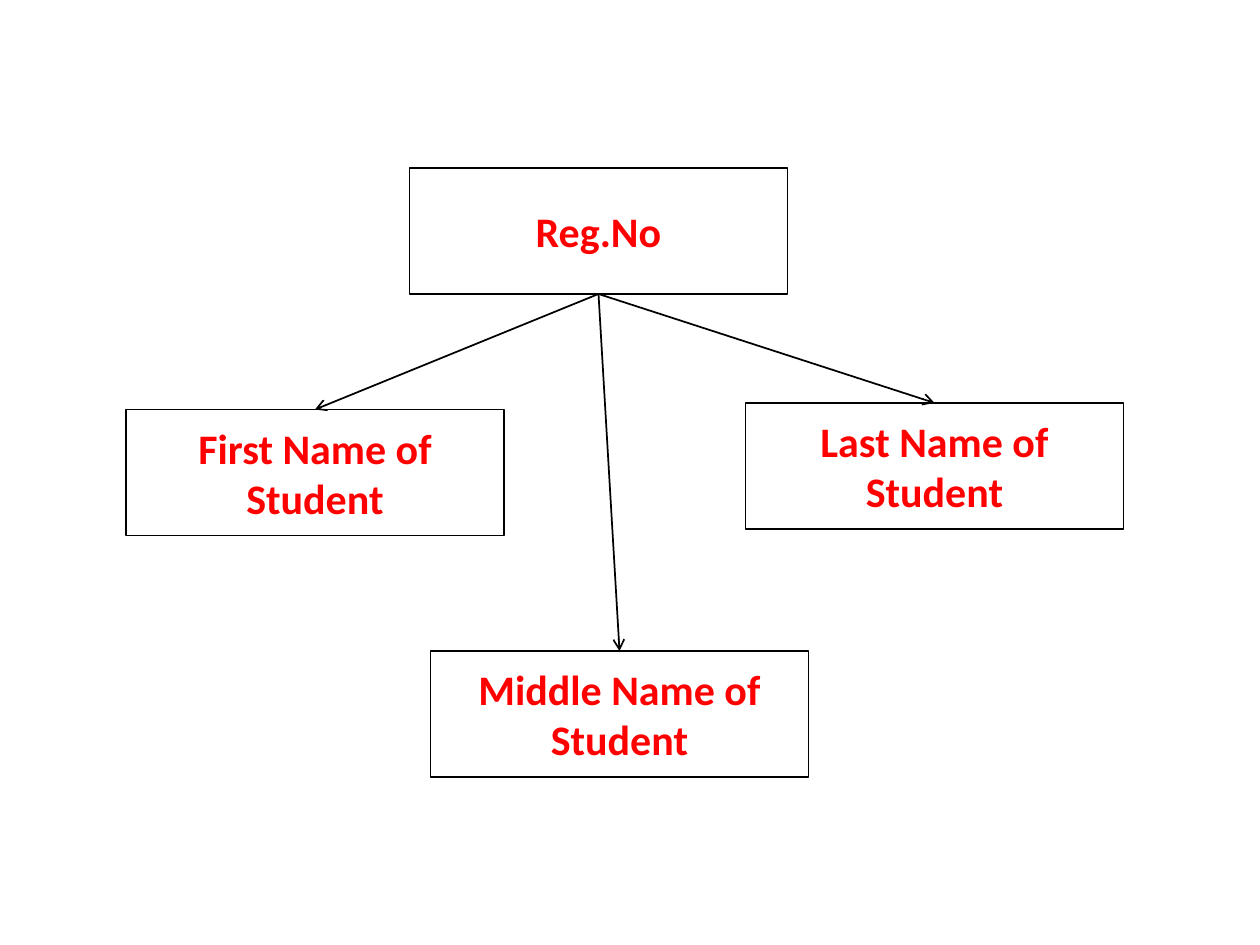
from dataclasses import dataclass

from lxml import etree
from pptx import Presentation
from pptx.dml.color import RGBColor
from pptx.enum.shapes import MSO_CONNECTOR, MSO_SHAPE
from pptx.enum.text import MSO_ANCHOR, PP_ALIGN
from pptx.oxml.ns import qn
from pptx.shapes.autoshape import Shape
from pptx.shapes.shapetree import SlideShapes
from pptx.util import Pt

RECT = MSO_SHAPE.RECTANGLE
STRAIGHT = MSO_CONNECTOR.STRAIGHT
CENTER = PP_ALIGN.CENTER
MIDDLE = MSO_ANCHOR.MIDDLE
TOP, BOTTOM = 0, 2

SCALE = 9525
BOX_W, BOX_H = 288, 96


@dataclass
class Field:
    text: str
    left: int
    top: int


ROOT = Field("Reg.No", 312, 128)
PARTS = [
    Field("First Name of Student", 96, 312),
    Field("Last Name of Student", 568, 307),
    Field("Middle Name of Student", 328, 496),
]


def px(size: int) -> int:
    return size * SCALE


def color(code: str) -> RGBColor:
    return RGBColor.from_string(code)


def draw_box(shapes: SlideShapes, field: Field) -> Shape:
    box = shapes.add_shape(RECT, px(field.left), px(field.top), px(BOX_W), px(BOX_H))
    box.shadow.inherit = False
    box.fill.solid()
    box.fill.fore_color.rgb = color("FFFFFF")
    box.line.color.rgb = color("000000")
    box.line.width = Pt(1)
    frame = box.text_frame
    frame.word_wrap = True
    frame.vertical_anchor = MIDDLE
    para = frame.paragraphs[0]
    para.alignment = CENTER
    run = para.add_run()
    run.text = field.text
    run.font.name = "Calibri"
    run.font.size = Pt(24)
    run.font.bold = True
    run.font.color.rgb = color("FF0000")
    return box


def draw_arrow(shapes: SlideShapes, start: Shape, end: Shape) -> None:
    arrow = shapes.add_connector(STRAIGHT, 0, 0, 0, 0)
    arrow.begin_connect(start, BOTTOM)
    arrow.end_connect(end, TOP)
    arrow.line.color.rgb = color("000000")
    arrow.line.width = Pt(1)
    props = arrow.element.spPr
    etree.SubElement(props.find(qn("a:ln")), qn("a:tailEnd"), type="arrow")
    etree.SubElement(props, qn("a:effectLst"))


def main() -> None:
    deck = Presentation()
    deck.slide_width, deck.slide_height = px(960), px(720)
    shapes = deck.slides.add_slide(deck.slide_layouts[6]).shapes
    root = draw_box(shapes, ROOT)
    parts = [draw_box(shapes, field) for field in PARTS]
    for part in parts:
        draw_arrow(shapes, root, part)
    deck.save("out.pptx")


if __name__ == "__main__":
    main()
